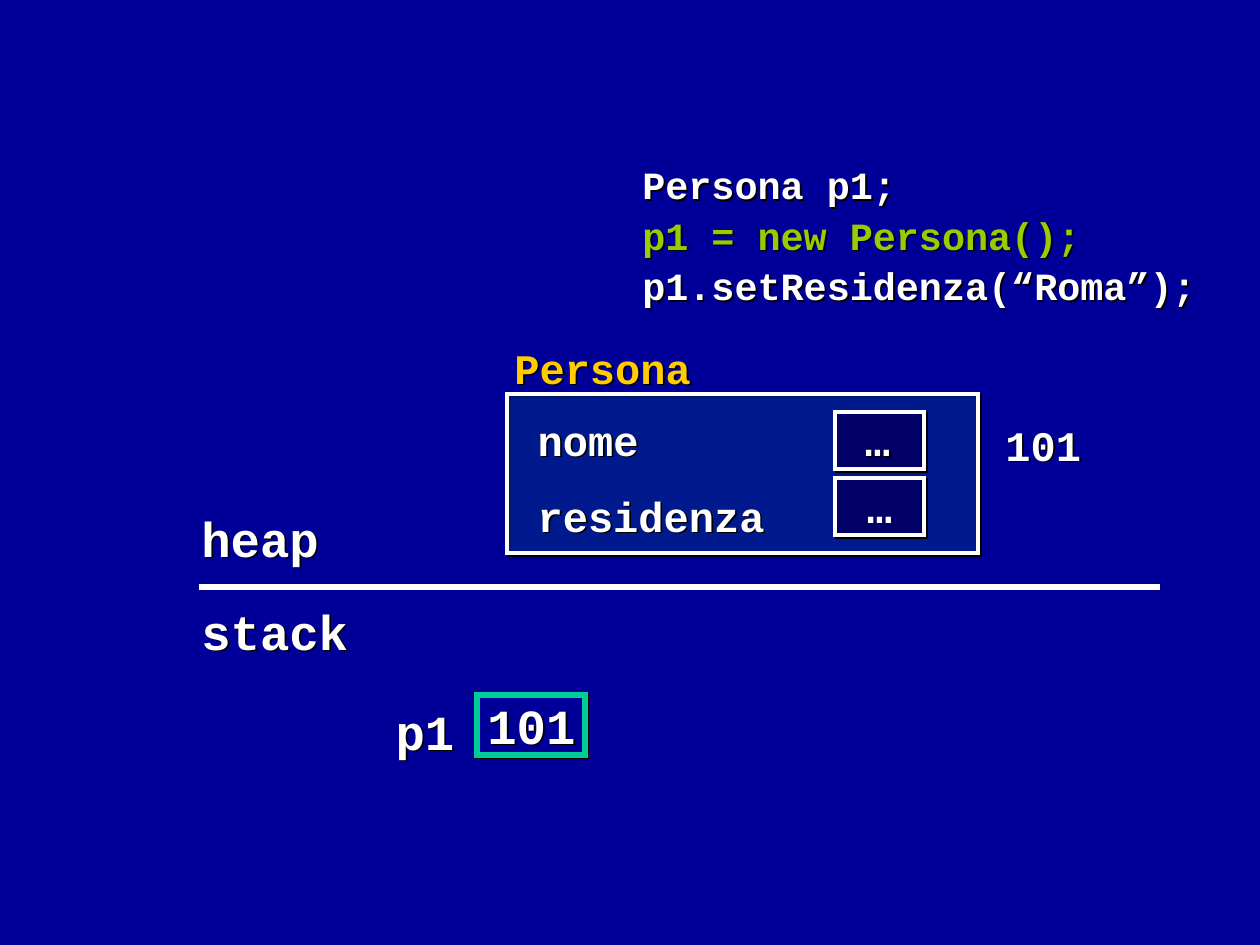
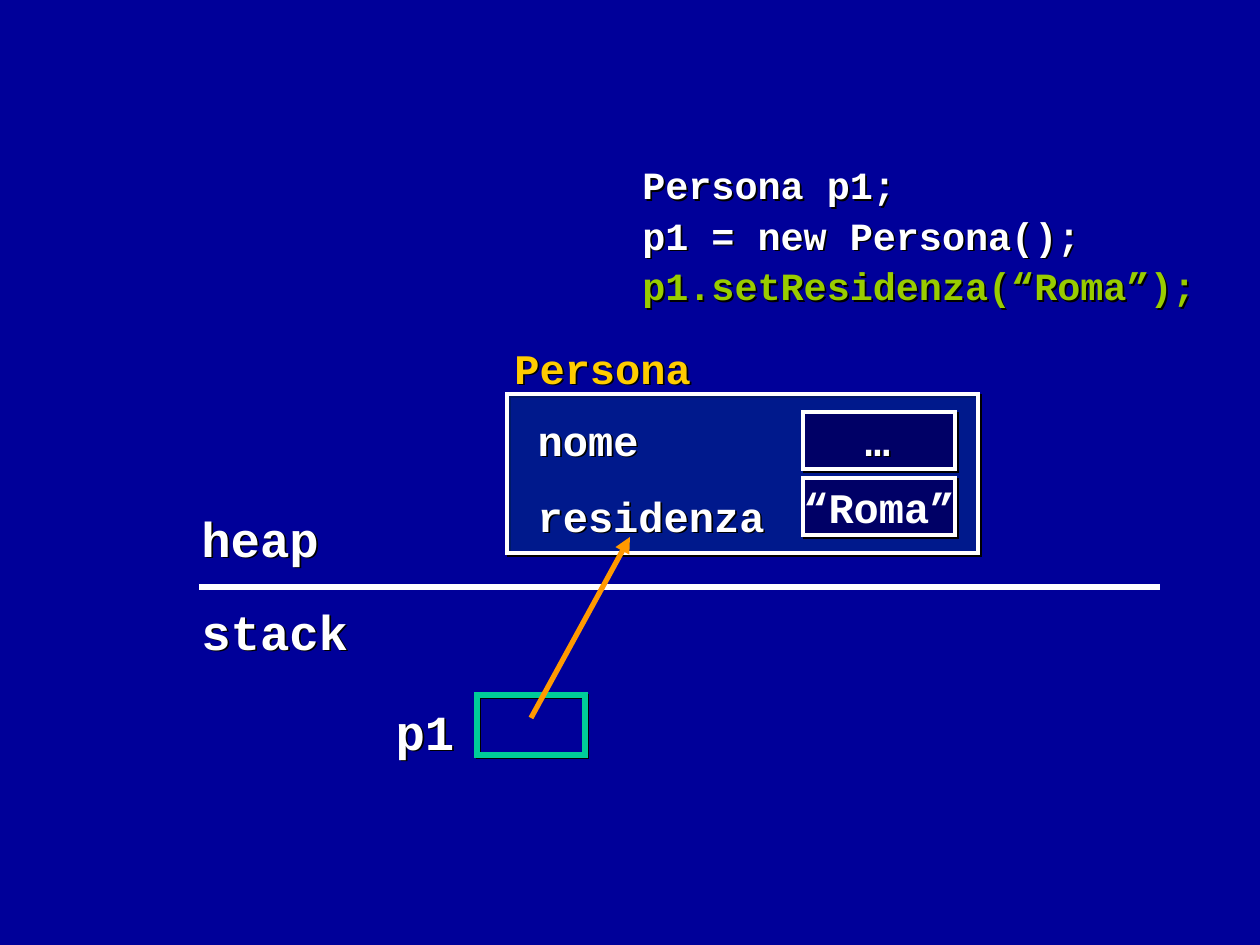
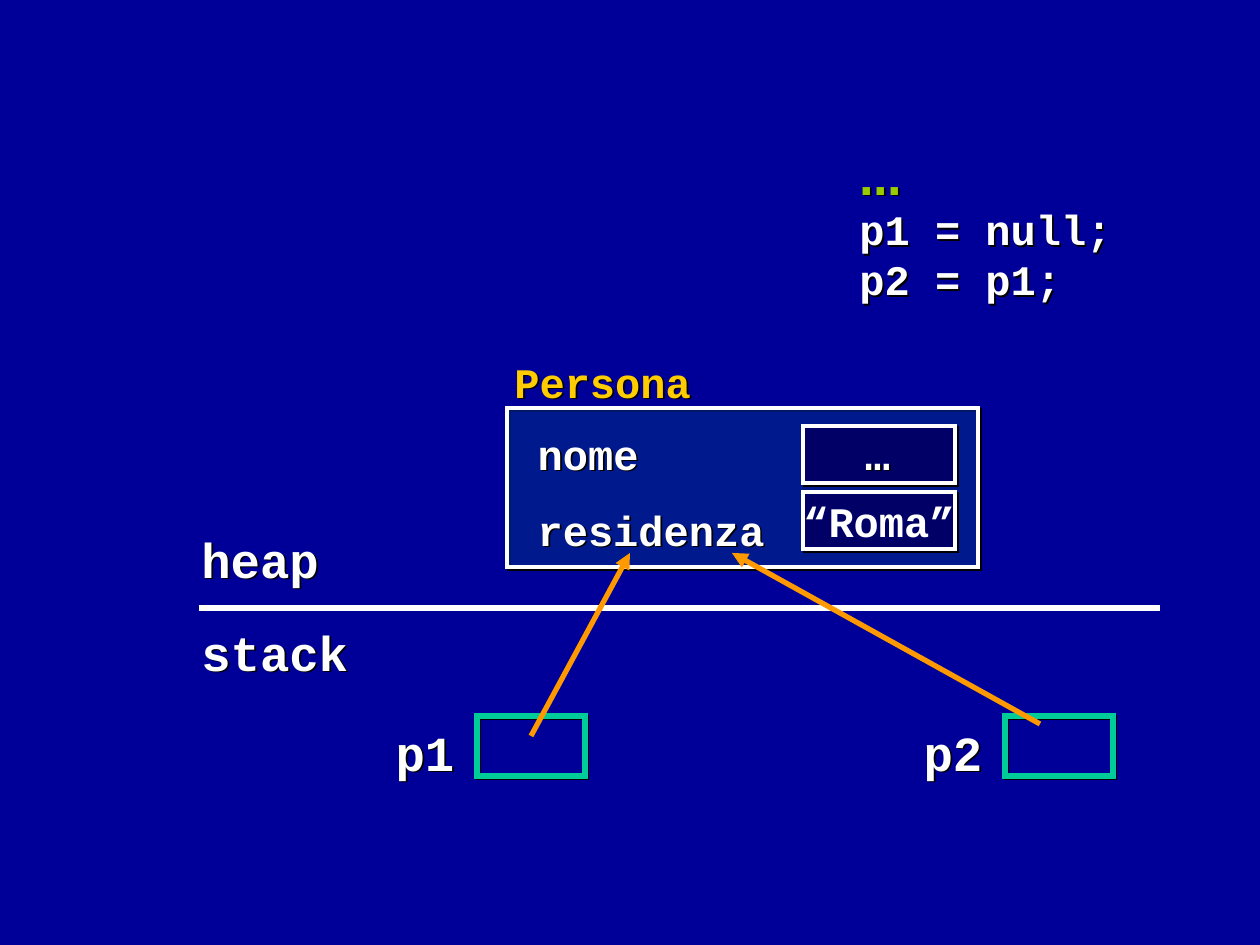
from dataclasses import dataclass

from lxml import etree
from pptx import Presentation
from pptx.dml.color import RGBColor
from pptx.enum.shapes import MSO_CONNECTOR, MSO_SHAPE
from pptx.enum.text import MSO_ANCHOR, MSO_AUTO_SIZE, PP_ALIGN
from pptx.oxml import parse_xml
from pptx.oxml.ns import nsdecls, qn
from pptx.util import Pt

PX = 914400 // 126
LEFT, CENTER = PP_ALIGN.LEFT, PP_ALIGN.CENTER
MIDDLE = MSO_ANCHOR.MIDDLE
GROW = MSO_AUTO_SIZE.SHAPE_TO_FIT_TEXT
RECTANGLE = MSO_SHAPE.RECTANGLE
STRAIGHT = MSO_CONNECTOR.STRAIGHT


@dataclass(frozen=True)
class Theme:
    background: str = "000099"
    text: str = "FFFFFF"
    current_line: str = "99CC00"
    class_name: str = "FFCC00"
    heap_object: str = "0033CC"
    field: str = "000066"
    variable: str = "00CC99"
    reference: str = "FF9900"
    font: str = "Courier New"
    ellipsis_font: str = "DejaVu Sans"
    code_size: int = 22
    object_size: int = 24
    memory_size: int = 28
    thin: float = 2.25
    thick: float = 3


THEME = Theme()
SHADOW = (
    f'<a:effectLst {nsdecls("a")}><a:outerShdw dist="17961" dir="2700000" algn="ctr" '
    'rotWithShape="0"><a:srgbClr val="000000"><a:alpha val="%d"/></a:srgbClr>'
    "</a:outerShdw></a:effectLst>"
)


def write(shape, text, *, size, color=THEME.text, align=LEFT, wrap=False,
          spacing=None, lit_line=None, lit_font=THEME.font):
    """Write lines as one paragraph, with lit_line in the colour of the current line."""
    frame = shape.text_frame
    frame.word_wrap = wrap
    paragraph = frame.paragraphs[0]
    paragraph.alignment = align
    paragraph.line_spacing = spacing
    for number, line in enumerate(text.split("\n")):
        if number:
            paragraph.add_line_break()
        lit = number == lit_line
        run = paragraph.add_run()
        run.text = line
        run.font.name = lit_font if lit else THEME.font
        run.font.size = Pt(size)
        run.font.bold = True
        run.font.color.rgb = RGBColor.from_string(THEME.current_line if lit else color)
    return frame


def add_frame(slide, place, *, fill, outline, width, opacity=100):
    """Add an outlined rectangle whose shadow is as opaque as its fill."""
    frame = slide.shapes.add_shape(RECTANGLE, *[n * PX for n in place])
    frame.line.color.rgb = RGBColor.from_string(outline)
    frame.line.width = Pt(width)
    etree.SubElement(frame.line._get_or_add_ln(), qn("a:miter"), lim="800000")
    if fill:
        frame.fill.solid()
        frame.fill.fore_color.rgb = RGBColor.from_string(fill)
        if opacity < 100:
            color = frame.fill._xPr.find(qn("a:solidFill"))[0]
            etree.SubElement(color, qn("a:alpha"), val=str(opacity * 1000))
    else:
        frame.fill.background()
    frame.shadow.inherit = False
    properties = frame._element.spPr
    properties.replace(properties.find(qn("a:effectLst")), parse_xml(SHADOW % (opacity * 1000)))
    return frame


PERSONA_CODE = "Persona p1;\np1 = new Persona();\np1.setResidenza(“Roma”);"
PERSONA_PLACE = (630, 150, 591, 165)
NARROW, WIDE = (835, 89), (803, 152)

steps = [
    dict(code=PERSONA_CODE, code_place=PERSONA_PLACE, code_size=THEME.code_size,
         spacing=1.1, lit_line=1, lit_font=THEME.font, memory_drop=0, object_drop=0,
         field=NARROW, residence="…", variables=["p1"], address="101", references=[]),
    dict(code=PERSONA_CODE, code_place=PERSONA_PLACE, code_size=THEME.code_size,
         spacing=1.1, lit_line=2, lit_font=THEME.font, memory_drop=0, object_drop=0,
         field=WIDE, residence="“Roma”", variables=["p1"], address=None,
         references=[(531, 718, 630, 537)]),
    dict(code="…\np1 = null;\np2 = p1;", code_place=(847, 147, 350, 164),
         code_size=THEME.object_size, spacing=None, lit_line=0,
         lit_font=THEME.ellipsis_font, memory_drop=21, object_drop=14,
         field=WIDE, residence="“Roma”", variables=["p1", "p2"], address=None,
         references=[(531, 736, 630, 553), (1040, 724, 732, 553)]),
]

prs = Presentation()
prs.slide_width, prs.slide_height = 1260 * PX, 945 * PX
backdrop = prs.slide_master.background.fill
backdrop.solid()
backdrop.fore_color.rgb = RGBColor.from_string(THEME.background)
blank = prs.slide_layouts[6]

for step in steps:
    slide = prs.slides.add_slide(blank)
    memory, heap = step["memory_drop"], step["object_drop"]

    code = slide.shapes.add_textbox(*[n * PX for n in step["code_place"]])
    write(code, step["code"], size=step["code_size"], wrap=True, spacing=step["spacing"],
          lit_line=step["lit_line"], lit_font=step["lit_font"])
    code._element.spPr.append(parse_xml(SHADOW % 100000))

    # Heap object and its two fields
    add_frame(slide, (507, 394 + heap, 471, 159), fill=THEME.heap_object,
              outline=THEME.text, width=THEME.thin, opacity=50)
    field_left, field_width = step["field"]
    fields = [
        add_frame(slide, (field_left, top + heap, field_width, 57), fill=THEME.field,
                  outline=THEME.text, width=THEME.thin)
        for top in (412, 478)
    ]
    residence = write(fields[1], step["residence"], size=THEME.object_size, align=CENTER)
    residence.vertical_anchor = MIDDLE

    small, large = THEME.object_size, THEME.memory_size
    labels = [
        ("heap", (189, 502 + memory, 146, 72), large, THEME.text, LEFT),
        ("stack", (189, 595 + memory, 175, 72), large, THEME.text, LEFT),
        ("nome", (523, 408 + heap, 130, 63), small, THEME.text, CENTER),
        ("residenza", (523, 484 + heap, 256, 63), small, THEME.text, CENTER),
        ("…", (850, 408 + heap, 55, 63), small, THEME.text, CENTER),
        ("Persona", (502, 336 + heap, 206, 63), small, THEME.class_name, LEFT),
    ]

    # Stack variables
    for index, variable in enumerate(step["variables"]):
        shift = index * 528
        add_frame(slide, (477 + shift, 695 + memory, 108, 60),
                  fill=THEME.background if step["address"] else None,
                  outline=THEME.variable, width=THEME.thick)
        labels.append((variable, (381 + shift, 695 + memory, 88, 72), large, THEME.text, CENTER))
    if step["address"]:
        labels += [
            (step["address"], (993, 413, 105, 63), small, THEME.text, LEFT),
            (step["address"], (475, 689, 130, 72), large, THEME.text, LEFT),
        ]

    for text, place, size, color, align in labels:
        label = slide.shapes.add_textbox(*[n * PX for n in place])
        write(label, text, size=size, color=color, align=align).auto_size = GROW
        label._element.spPr.append(parse_xml(SHADOW % 100000))

    # Heap and stack divider, then the references
    divider = (199, 587 + memory, 1160, 587 + memory)
    for ends in [divider, *step["references"]]:
        line = slide.shapes.add_connector(STRAIGHT, *[n * PX for n in ends])
        is_divider = ends == divider
        line.line.color.rgb = RGBColor.from_string(THEME.text if is_divider else THEME.reference)
        line.line.width = Pt(THEME.thick)
        if not is_divider:
            etree.SubElement(line.line._get_or_add_ln(), qn("a:tailEnd"), type="triangle")
        etree.SubElement(line._element.spPr, qn("a:effectLst"))

prs.save("out.pptx")
